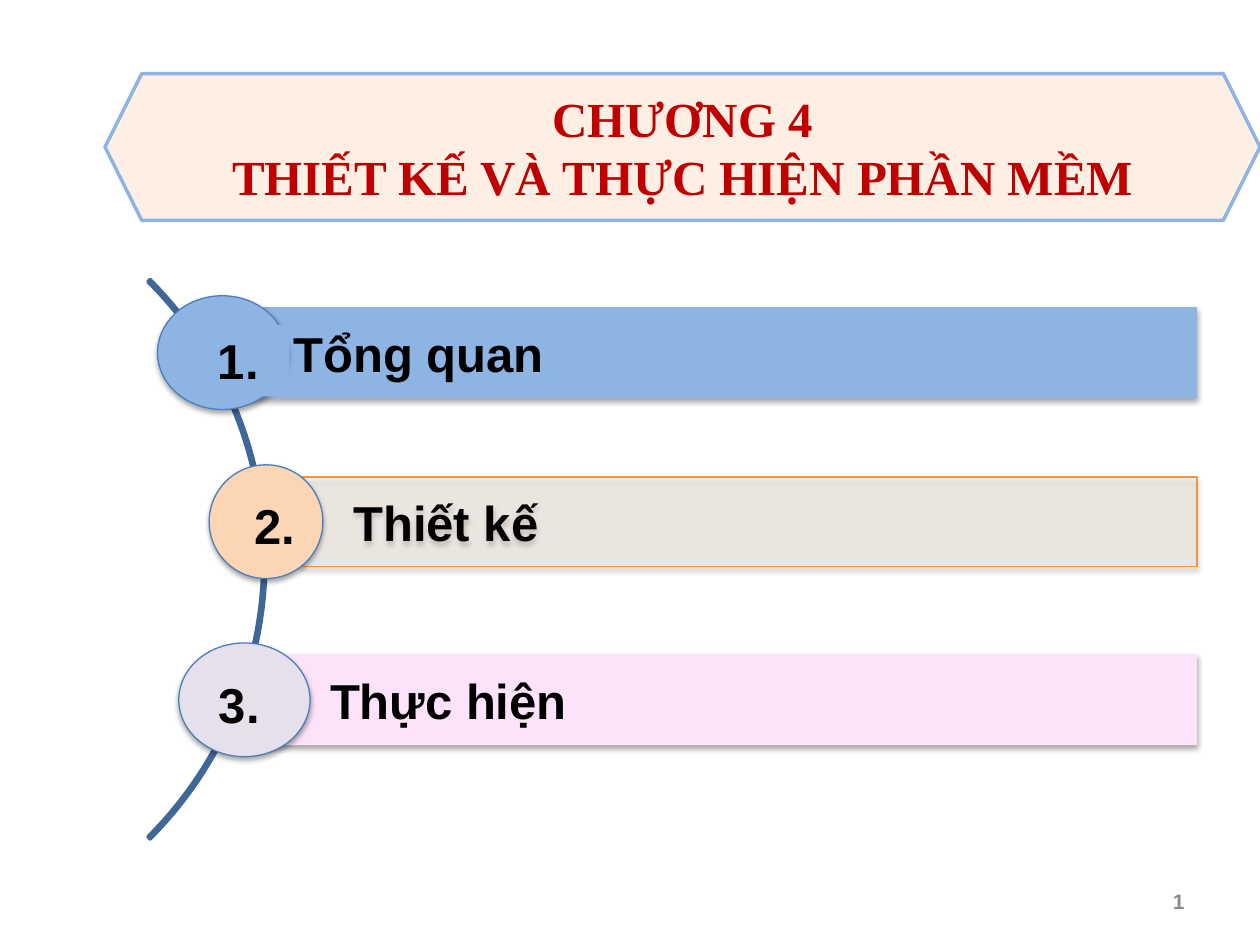
from dataclasses import dataclass

from lxml.etree import SubElement
from pptx import Presentation
from pptx.dml.color import RGBColor
from pptx.enum.shapes import MSO_SHAPE
from pptx.enum.text import MSO_ANCHOR, PP_ALIGN
from pptx.oxml.ns import qn
from pptx.util import Pt

COLORS = {
    "title_fill": "FDEFE3", "title_text": "C00000", "blue": "8EB4E3",
    "arc": "3F6797", "circle_line": "4B7EBC", "orange_line": "F69240",
    "peach": "FDEADA", "orange": "FCD5B5", "pink": "FDE3F9",
    "lilac": "E6E0EC", "text": "000000", "page_number": "8C8C8C",
}


@dataclass
class Topic:
    """One numbered row of the agenda, with lengths in points."""
    number: str
    title: str
    box: tuple
    circle_width: float
    bar_offset: float
    bar_height: float
    title_inset: float
    number_offset: tuple
    bar_color: str
    circle_color: str
    number_fill: str = None
    bar_line: str = None
    bar_alpha: int = 100


TOPICS = [
    Topic("1.", "Tổng quan", (90, 169, 594, 65), 74, 36.7, 52, 41,
          (27.4, 16.6), "blue", "blue", number_fill="blue"),
    Topic("2.", "Thiết kế", (119.5, 265.6, 564.5, 65), 65, 52, 51, 30.5,
          (18.7, 13.8), "peach", "orange", bar_line="orange_line", bar_alpha=30),
    Topic("3.", "Thực hiện", (102.2, 367.4, 581.8, 65), 75, 37.4, 52, 49,
          (15.8, 14.4), "pink", "lilac"),
]


def rgb(name):
    """Return the named palette colour."""
    return RGBColor.from_string(COLORS[name])


def add_block(page, kind, box, fill=None, line=None, line_width=0.75):
    """Add a preset shape without a shadow."""
    block = page.shapes.add_shape(kind, *map(Pt, box))
    block.shadow.inherit = False
    if fill:
        block.fill.solid()
        block.fill.fore_color.rgb = rgb(fill)
    else:
        block.fill.background()
    if line:
        block.line.color.rgb = rgb(line)
        block.line.width = Pt(line_width)
    else:
        block.line.fill.background()
    return block


def add_shadow(block):
    """Give a shape a soft shadow straight below it."""
    effects = block._element.spPr.find(qn("a:effectLst"))
    shadow = SubElement(effects, qn("a:outerShdw"), blurRad=str(Pt(3.1)),
                        dist=str(Pt(1.8)), dir="5400000", rotWithShape="0")
    color = SubElement(shadow, qn("a:srgbClr"), val=COLORS["text"])
    SubElement(color, qn("a:alpha"), val="35000")


def set_text(box, text, size=28, color="text", font="Arial",
             align=PP_ALIGN.LEFT, anchor=MSO_ANCHOR.MIDDLE):
    """Write bold text into a shape."""
    frame = box.text_frame
    frame.text = text
    frame.word_wrap = True
    frame.vertical_anchor = anchor
    for para in frame.paragraphs:
        para.alignment = align
        for span in para.runs:
            span.font.name = font
            span.font.size = Pt(size)
            span.font.bold = True
            span.font.color.rgb = rgb(color)


def add_title(page, box):
    """Draw the hexagonal chapter banner."""
    banner = add_block(page, MSO_SHAPE.HEXAGON, box, "title_fill", "blue", 2)
    set_text(banner, "CHƯƠNG 4\nTHIẾT KẾ VÀ THỰC HIỆN PHẦN MỀM",
             color="title_text", font="Times New Roman", align=PP_ALIGN.CENTER)


def add_arc(page, box):
    """Draw the thin arc that joins the circles."""
    arc = add_block(page, MSO_SHAPE.BLOCK_ARC, box, line="arc", line_width=2)
    for index, value in enumerate((189, 27, 0.004)):
        arc.adjustments[index] = value


def add_topic(page, topic):
    """Draw a bar with its title, circle and number."""
    left, top, width, height = topic.box
    bar_box = (left + topic.bar_offset, top + (height - topic.bar_height) / 2,
               width - topic.bar_offset, topic.bar_height)
    bar = add_block(page, MSO_SHAPE.RECTANGLE, bar_box, topic.bar_color, topic.bar_line)
    add_shadow(bar)
    if topic.bar_alpha < 100:
        color = bar._element.spPr.find(qn("a:solidFill"))[0]
        SubElement(color, qn("a:alpha"), val=str(topic.bar_alpha * 1000))
    set_text(bar, topic.title)
    bar.text_frame.margin_left = Pt(topic.title_inset)

    circle_box = (left, top, topic.circle_width, height)
    add_shadow(add_block(page, MSO_SHAPE.OVAL, circle_box,
                         topic.circle_color, "circle_line"))

    right, down = topic.number_offset
    number = add_block(page, MSO_SHAPE.RECTANGLE,
                       (left + right, top + down, 48, 41), topic.number_fill)
    set_text(number, topic.number, anchor=MSO_ANCHOR.TOP)


def add_page_number(page, box):
    """Write the page number at the lower right."""
    number = page.shapes.add_textbox(*map(Pt, box))
    set_text(number, "1", size=12, color="page_number", align=PP_ALIGN.RIGHT)


def main():
    """Build the chapter agenda and save it."""
    deck = Presentation()
    deck.slide_width, deck.slide_height = Pt(720), Pt(540)
    page = deck.slides.add_slide(deck.slide_layouts[6])
    add_page_number(page, (516, 500.5, 168, 28.75))
    add_title(page, (60, 42, 660, 84))
    add_arc(page, (-300, 93.6, 452, 452))
    for topic in TOPICS:
        add_topic(page, topic)
    deck.save("out.pptx")


if __name__ == "__main__":
    main()
